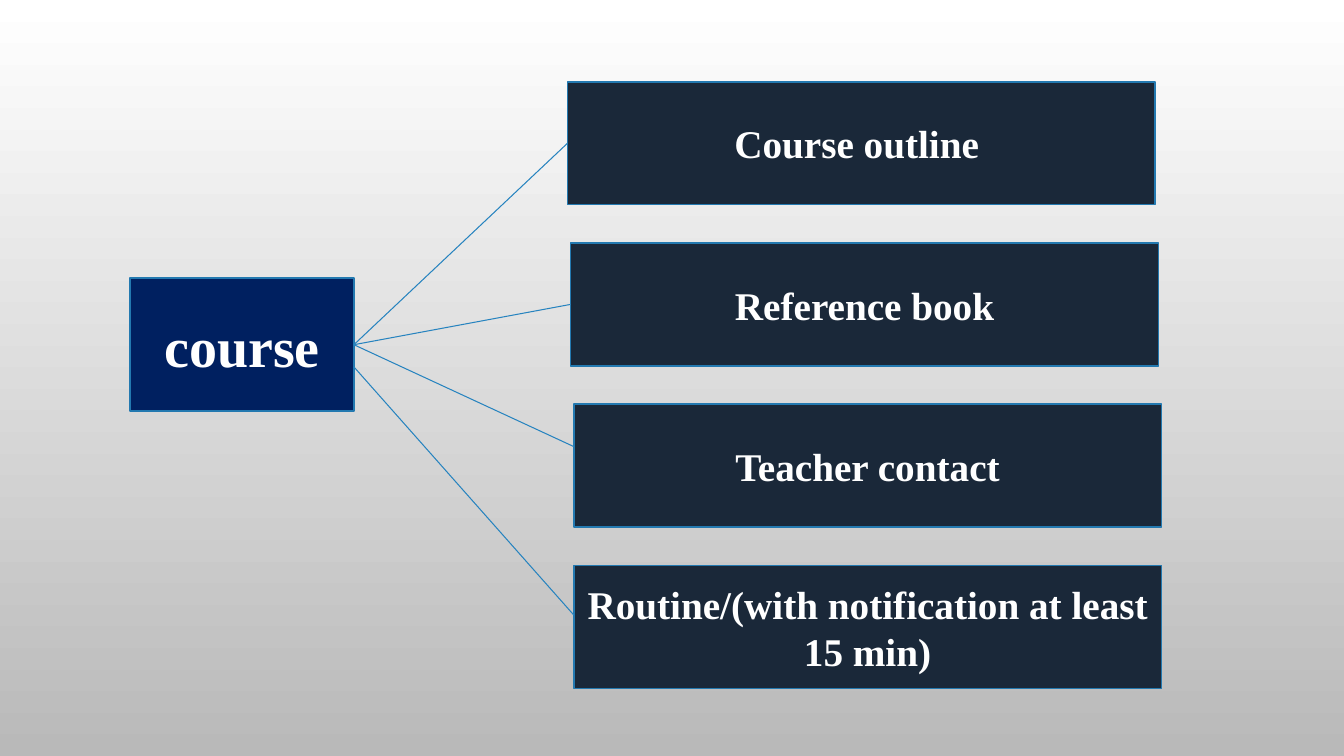
from dataclasses import dataclass

from lxml.etree import SubElement
from pptx import Presentation
from pptx.dml.color import RGBColor
from pptx.enum.shapes import MSO_CONNECTOR, MSO_SHAPE
from pptx.enum.text import MSO_ANCHOR, PP_ALIGN
from pptx.oxml.ns import qn
from pptx.shapes.autoshape import Shape
from pptx.slide import Slide
from pptx.util import Inches, Pt

WHITE = RGBColor(0xFF, 0xFF, 0xFF)
GRAY = RGBColor(0xB9, 0xB9, 0xB9)
NAVY = RGBColor(0x00, 0x20, 0x60)
SLATE = RGBColor(0x1A, 0x28, 0x39)
BORDER = RGBColor(0x23, 0x79, 0xB0)
LINK = RGBColor(0x26, 0x83, 0xBF)
FONT = "Times New Roman"
LEFT, RIGHT = 1, 3  # connection sites

ITEM_TOP, ITEM_STEP = 0.81, 1.6
ITEM_W, ITEM_H = 5.83, 1.22
TOPIC_RIGHT, TOPIC_MIDDLE = 3.51, 3.42


@dataclass
class Box:
    text: str
    left: float
    top: float
    width: float
    height: float
    fill: RGBColor
    size: int


@dataclass
class Item:
    text: str
    left: float
    start_y: float  # link height at the topic
    end_y: float  # link height at the item
    start_joined: bool = True
    end_joined: bool = True


TOPIC = Box("course", 1.29, 2.76, 2.22, 1.32, NAVY, 40)
ITEMS = [
    Item("Course outline ", 5.63, TOPIC_MIDDLE, 1.42),
    Item("Reference book", 5.66, TOPIC_MIDDLE, 3.02),
    Item("Teacher contact", 5.69, TOPIC_MIDDLE, 4.43, end_joined=False),
    Item("Routine/(with notification at least 15 min)", 5.69, 3.64, 6.1,
         start_joined=False, end_joined=False),
]


def set_background(s: Slide) -> None:
    fill = s.background.fill
    fill.gradient()
    fill.gradient_angle = 270
    for stop, color, position in zip(fill.gradient_stops, (WHITE, GRAY), (0, 1)):
        stop.color.rgb = color
        stop.position = position


def add_box(s: Slide, box: Box) -> Shape:
    sp = s.shapes.add_shape(MSO_SHAPE.RECTANGLE, Inches(box.left), Inches(box.top),
                            Inches(box.width), Inches(box.height))
    sp.shadow.inherit = False
    sp.fill.solid()
    sp.fill.fore_color.rgb = box.fill
    sp.line.color.rgb = BORDER
    sp.line.width = Pt(1.25)
    tf = sp.text_frame
    tf.word_wrap = True
    tf.vertical_anchor = MSO_ANCHOR.MIDDLE
    p = tf.paragraphs[0]
    p.alignment = PP_ALIGN.CENTER
    r = p.add_run()
    r.text = box.text
    r.font.name = FONT
    r.font.size = Pt(box.size)
    r.font.bold = True
    r.font.color.rgb = WHITE
    return sp


def add_link(s: Slide, topic: Shape, target: Shape, item: Item) -> None:
    link = s.shapes.add_connector(MSO_CONNECTOR.STRAIGHT,
                                  Inches(TOPIC_RIGHT), Inches(item.start_y),
                                  Inches(item.left), Inches(item.end_y))
    link.line.color.rgb = LINK
    link.line.width = Pt(0.75)
    SubElement(link._element.spPr, qn("a:effectLst"))
    if item.start_joined:
        link.begin_connect(topic, RIGHT)
    if item.end_joined:
        link.end_connect(target, LEFT)


def main() -> None:
    prs = Presentation()
    prs.slide_width, prs.slide_height = Inches(13.33), Inches(7.5)
    s = prs.slides.add_slide(prs.slide_layouts[6])
    set_background(s)

    # Item boxes, then the topic
    targets = [
        add_box(s, Box(item.text, item.left, ITEM_TOP + i * ITEM_STEP,
                       ITEM_W, ITEM_H, SLATE, 28))
        for i, item in enumerate(ITEMS)
    ]
    topic = add_box(s, TOPIC)

    # Links from the topic to each item
    for item, target in zip(ITEMS, targets):
        add_link(s, topic, target, item)

    prs.save("out.pptx")


if __name__ == "__main__":
    main()
